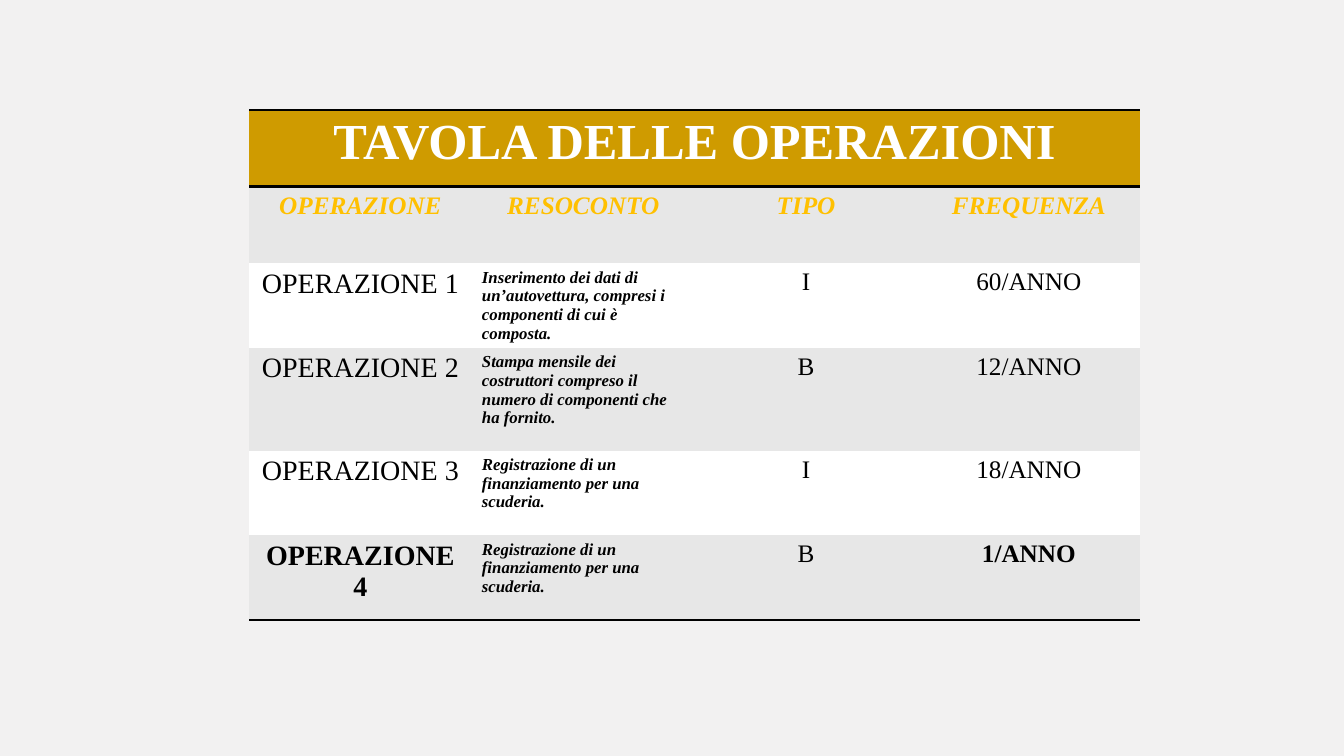
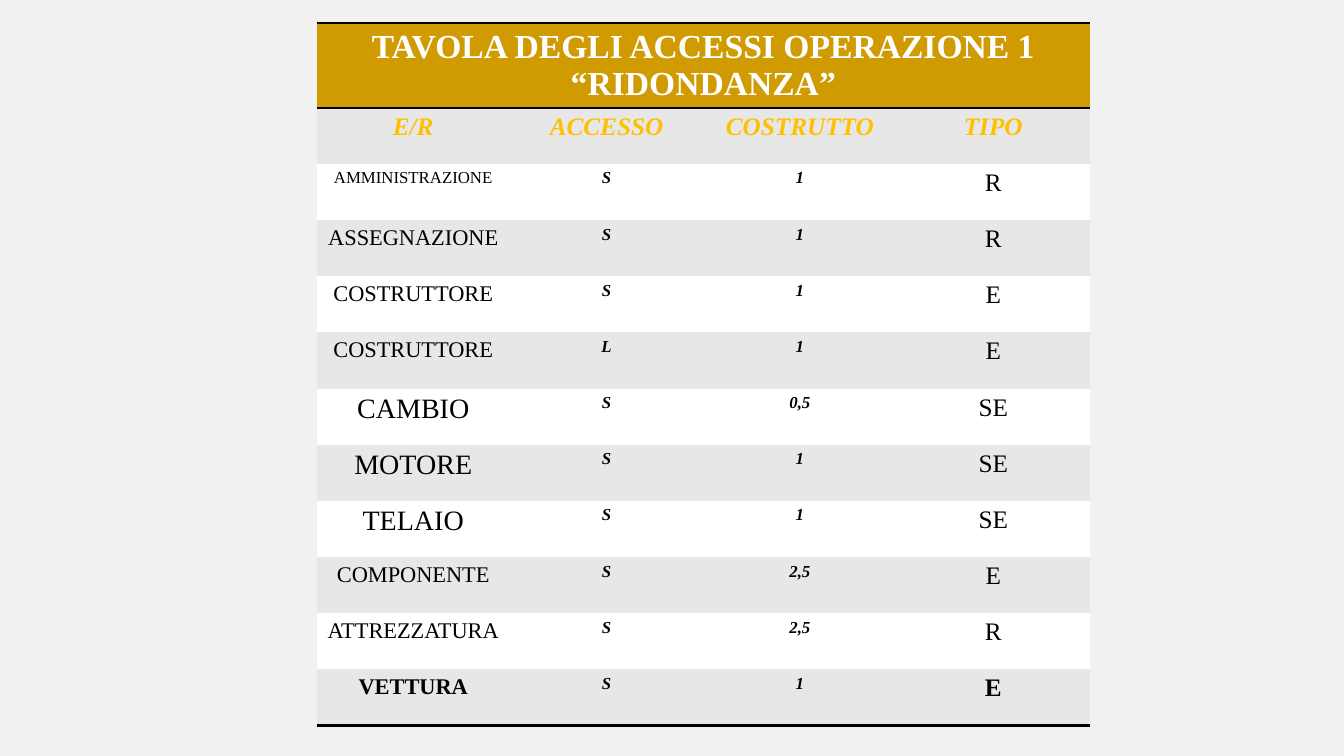
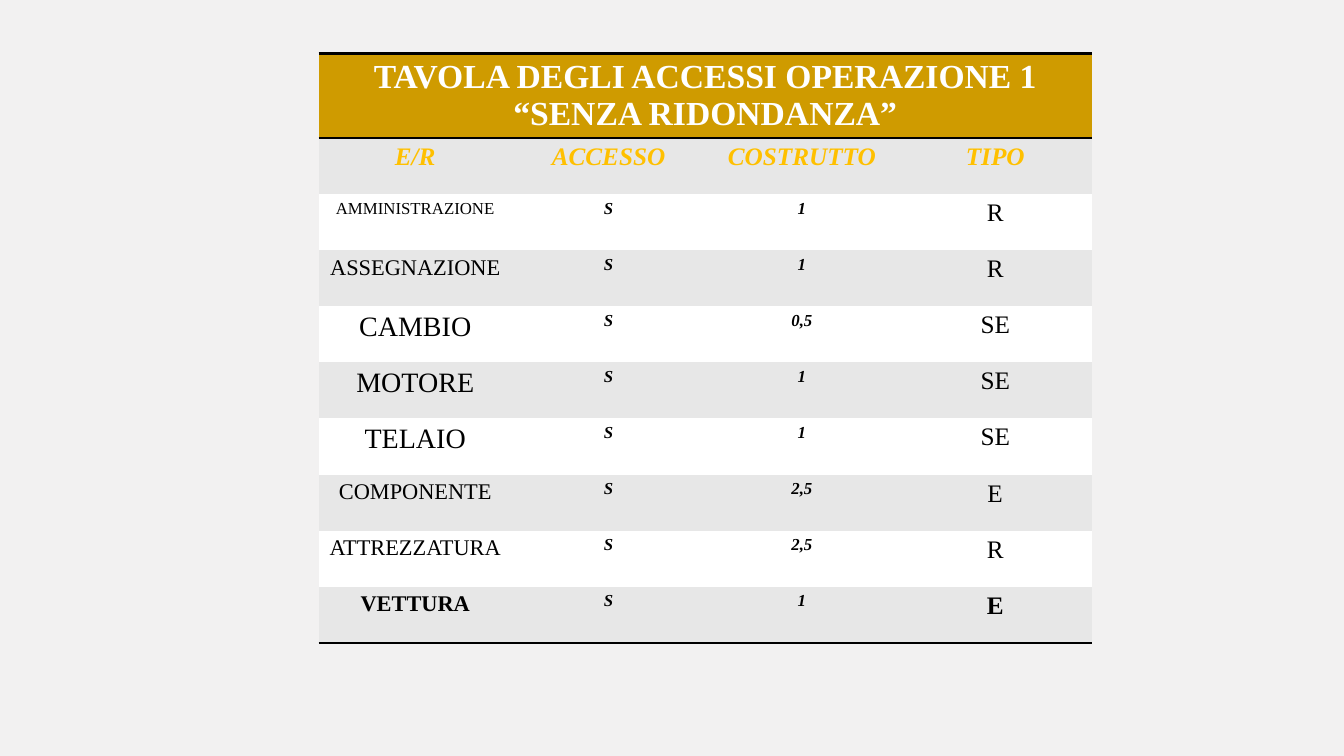
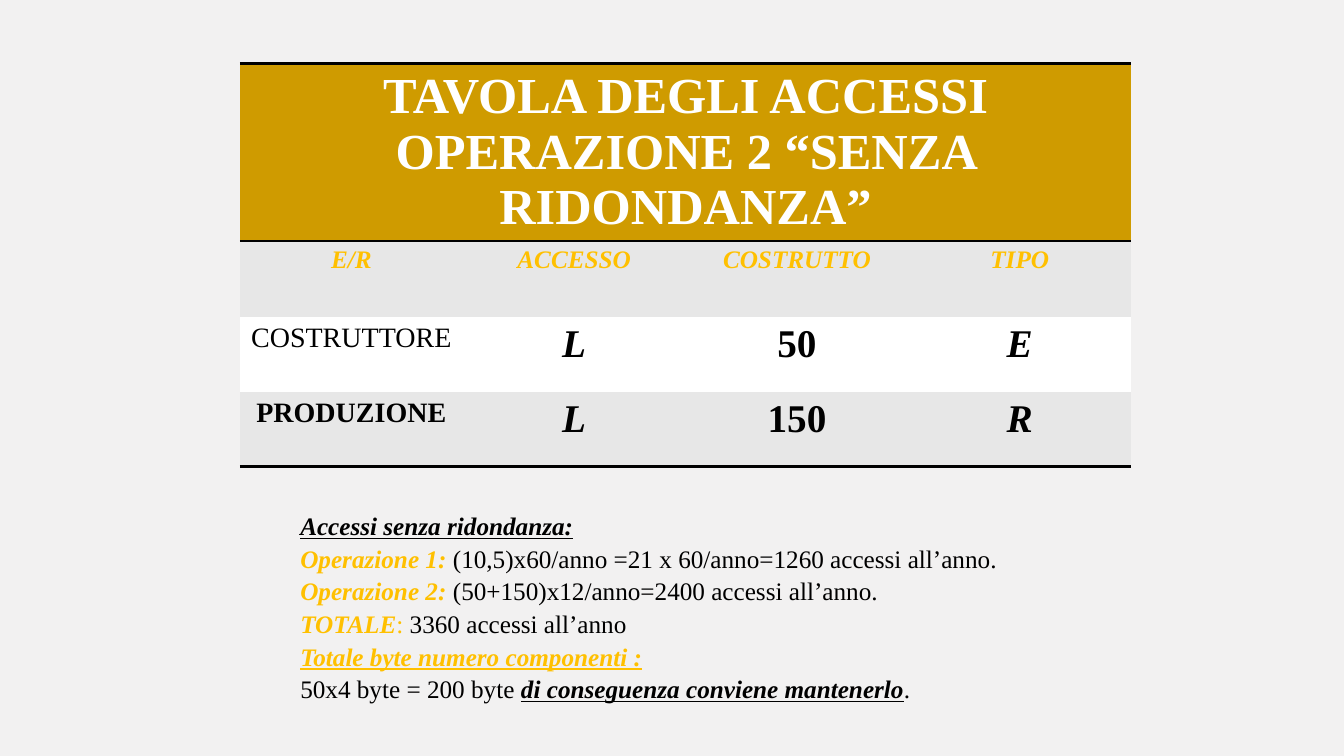
from lxml import etree
from pptx import Presentation
from pptx import util as u
from pptx.dml.color import RGBColor
from pptx.enum import text
from pptx.oxml.ns import qn

COLORS = {
    "background": "F2F1F1",
    "title_band": "CF9B00",
    "title": "FFFFFF",
    "accent": "FFC000",
    "ink": "000000",
    "shaded_row": "E7E7E7",
    "plain_row": "FFFFFF",
}
FONT = "Times New Roman"
NO_TABLE_STYLE = "{2D5ABB26-0587-4C30-8999-92F81FD0307C}"
COLUMNS = 4
LEFT, CENTER = text.PP_ALIGN.LEFT, text.PP_ALIGN.CENTER

# Column styles: size, bold, italic, alignment
PLAIN = (18, False, False, CENTER)
NOTE = (12, True, True, CENTER)
DESCRIPTION = (12, True, True, LEFT)
LARGE = (28, True, False, CENTER)
LARGE_ITALIC = (28, True, True, CENTER)


def format_run(run, size, color, bold=False, italic=False, underline=False):
    font = run.font
    font.name, font.size = FONT, u.Pt(size)
    font.bold, font.italic, font.underline = bold, italic, underline
    font.color.rgb = RGBColor.from_string(COLORS[color])


def fill_cell(cell, wording, style, color, fill, borders=()):
    """Write one table cell; borders lists the ruled edges, lnT before lnB."""
    size, bold, italic, alignment = style
    for edge in borders:
        rule = etree.SubElement(cell._tc.get_or_add_tcPr(), qn(f"a:{edge}"), w=str(u.Pt(2)))
        solid = etree.SubElement(rule, qn("a:solidFill"))
        etree.SubElement(solid, qn("a:srgbClr"), val=COLORS["ink"])
    cell.fill.solid()
    cell.fill.fore_color.rgb = RGBColor.from_string(COLORS[fill])
    if wording:
        paragraph = cell.text_frame.paragraphs[0]
        paragraph.text = wording
        paragraph.alignment = alignment
        format_run(paragraph.runs[0], size, color, bold, italic)


access_headings = ["E/R", "ACCESSO", "COSTRUTTO", "TIPO"]

# Each row starts with its name and the size of that name
operations = [
    ("OPERAZIONE 1", 20, "Inserimento dei dati di un’autovettura, compresi i componenti di cui è composta.",
     "I", "60/ANNO"),
    ("OPERAZIONE 2", 20, "Stampa mensile dei costruttori compreso il numero di componenti che ha fornito.",
     "B", "12/ANNO"),
    ("OPERAZIONE 3", 20, "Registrazione di un finanziamento per una scuderia.", "I", "18/ANNO"),
    ("OPERAZIONE 4", 20, "Registrazione di un finanziamento per una scuderia.", "B", "1/ANNO"),
]
redundant_accesses = [
    ("AMMINISTRAZIONE", 12, "S", "1", "R"),
    ("ASSEGNAZIONE", 16, "S", "1", "R"),
    ("COSTRUTTORE", 16, "S", "1", "E"),
    ("COSTRUTTORE", 16, "L", "1", "E"),
    ("CAMBIO", 20, "S", "0,5", "SE"),
    ("MOTORE", 20, "S", "1", "SE"),
    ("TELAIO", 20, "S", "1", "SE"),
    ("COMPONENTE", 16, "S", "2,5", "E"),
    ("ATTREZZATURA", 16, "S", "2,5", "R"),
    ("VETTURA", 16, "S", "1", "E"),
]
lean_accesses = [row for row in redundant_accesses if row[0] != "COSTRUTTORE"]
second_accesses = [
    ("COSTRUTTORE", 20, "L", "50", "E"),
    ("PRODUZIONE", 20, "L", "150", "R"),
]

# Row heights: title row first, then headings and body
tables = [
    dict(title="TAVOLA DELLE OPERAZIONI", title_size=36, place=(2.47, 1.09, 8.84),
         heights=[0.76, 0.76, 0.84, 1.02, 0.84, 0.84],
         headings=["OPERAZIONE", "RESOCONTO", "TIPO", "FREQUENZA"],
         rows=operations, styles=[DESCRIPTION, PLAIN, PLAIN]),
    dict(title="TAVOLA DEGLI ACCESSI OPERAZIONE 1 “RIDONDANZA”", title_size=24,
         place=(3.14, 0.23, 7.67), heights=[0.84] + [6.13 / 11] * 11,
         headings=access_headings, rows=redundant_accesses, styles=[NOTE, NOTE, PLAIN]),
    dict(title="TAVOLA DEGLI ACCESSI OPERAZIONE 1 “SENZA RIDONDANZA”", title_size=24,
         place=(3.16, 0.53, 7.67), heights=[0.84] + [5.01 / 9] * 9,
         headings=access_headings, rows=lean_accesses, styles=[NOTE, NOTE, PLAIN]),
    dict(title="TAVOLA DEGLI ACCESSI OPERAZIONE 2 “SENZA RIDONDANZA”", title_size=36,
         place=(2.38, 0.63, 8.84), heights=[1.76, 0.76, 0.74, 0.74],
         headings=access_headings, rows=second_accesses,
         styles=[LARGE_ITALIC, LARGE, LARGE_ITALIC]),
]

prs = Presentation()
prs.slide_width, prs.slide_height = u.Inches(13.33), u.Inches(7.5)
background = prs.slide_master.background.fill
background.solid()
background.fore_color.rgb = RGBColor.from_string(COLORS["background"])

for content in tables:
    slide = prs.slides.add_slide(prs.slide_layouts[6])
    left, top, width = content["place"]
    heights = content["heights"]
    frame = slide.shapes.add_table(len(heights), COLUMNS, u.Inches(left), u.Inches(top),
                                   u.Inches(width), u.Inches(sum(heights)))
    for style_id in frame._element.iter(qn("a:tableStyleId")):
        style_id.text = NO_TABLE_STYLE
    table = frame.table
    for row, height in zip(table.rows, heights):
        row.height = u.Inches(height)

    title_style = (content["title_size"], True, False, CENTER)
    table.cell(0, 0).merge(table.cell(0, COLUMNS - 1))
    for column in range(COLUMNS):
        fill_cell(table.cell(0, column), "" if column else content["title"], title_style,
                  "title", "title_band", ("lnT", "lnB"))
        fill_cell(table.cell(1, column), content["headings"][column], (18, True, True, CENTER),
                  "accent", "shaded_row")

    for number, (name, name_size, *values) in enumerate(content["rows"], start=2):
        is_last = number == len(heights) - 1
        styles = [(name_size, False, False, CENTER)] + content["styles"]
        for column, (wording, style) in enumerate(zip([name] + values, styles)):
            if is_last and column in (0, COLUMNS - 1):
                size, _, italic, alignment = style
                style = (size, True, italic, alignment)
            fill_cell(table.cell(number, column), wording, style, "ink",
                      "shaded_row" if number % 2 else "plain_row",
                      ("lnB",) if is_last else ())

# Run formats: colour, bold, italic, underline
body = ("ink", False, False, False)
label = ("accent", True, True, False)
conclusion = ("ink", True, True, True)
summary_lines = [
    [("Accessi senza ridondanza:", conclusion)],
    [("Operazione 1: ", label), ("(10,5)x60/anno =21 x 60/anno=1260 accessi all’anno.", body)],
    [("Operazione 2: ", label), ("(50+150)x12/anno=2400 accessi all’anno.", body)],
    [("TOTALE", label), (": ", ("accent", False, False, False)), ("3360 accessi all’anno", body)],
    [("Totale byte numero componenti :", ("accent", True, True, True))],
    [("50x4 byte = 200 byte ", body), ("di conseguenza conviene mantenerlo", conclusion), (".", body)],
]
summary = slide.shapes.add_textbox(u.Inches(2.88), u.Inches(4.99),
                                   u.Inches(7.57), u.Inches(2.22)).text_frame
summary.word_wrap = True
for index, line in enumerate(summary_lines):
    paragraph = summary.add_paragraph() if index else summary.paragraphs[0]
    paragraph.line_spacing = 1.08
    for wording, run_format in line:
        run = paragraph.add_run()
        run.text = wording
        format_run(run, 18, *run_format)

prs.save("out.pptx")
